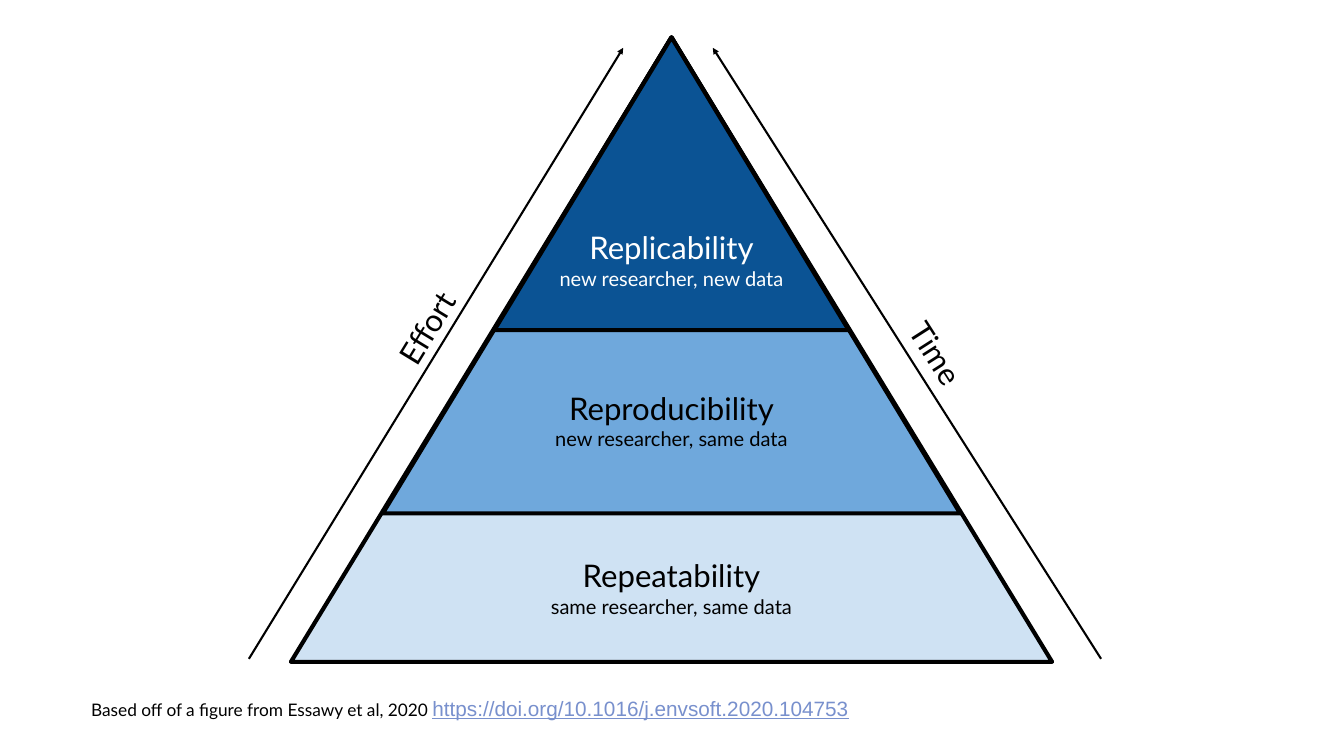
"""Build a slide with a three-tier reproducibility pyramid."""
import dataclasses
import typing

import pptx
import pptx.dml.color
import pptx.enum.shapes
import pptx.enum.text
import pptx.oxml
import pptx.oxml.ns
import pptx.slide
import pptx.text.text
import pptx.util

Inches = pptx.util.Inches
Pt = pptx.util.Pt


@dataclasses.dataclass(frozen=True)
class Theme:
    """Colours, fonts and sizes used on the slide."""

    black: str = "000000"
    white: str = "FFFFFF"
    link: str = "7890CD"
    pale_blue: str = "CFE2F3"
    mid_blue: str = "6FA8DC"
    dark_blue: str = "0B5394"
    font: str = "Lato"
    link_font: str = "Arial"
    heading_size: int = 45
    detail_size: int = 29
    source_size: int = 25
    link_size: int = 30
    outline: int = 6
    arrow: int = 3


THEME = Theme()
APEX_X = 13.49
APEX_Y = 0.75
LABEL_WIDTH = 5.79
LABEL_HEIGHT = 1.45
SIDE_WIDTH = 12
SIDE_HEIGHT = 0.96


class Tier(typing.NamedTuple):
    """One pyramid level, measured from the shared apex."""

    heading: str
    detail: str
    width: float
    height: float
    fill: str
    text_color: str
    label_top: float


class Side(typing.NamedTuple):
    """An arrow along one flank with its tilted label."""

    label: str
    start: tuple[float, float]
    end: tuple[float, float]
    label_left: float
    label_top: float
    rotation: float


class TextRun(typing.NamedTuple):
    """A piece of text in one format."""

    text: str
    size: int
    color: str = THEME.black
    font: str = THEME.font
    underline: bool = False


TIERS = (
    Tier("Repeatability", "same researcher, same data", 15.29, 12.54,
         THEME.pale_blue, THEME.black, 11.08),
    Tier("Reproducibility", "new researcher, same data", 11.6, 9.56,
         THEME.mid_blue, THEME.black, 7.72),
    Tier("Replicability", "new researcher, new data", 7.12, 5.88,
         THEME.dark_blue, THEME.white, 4.49),
)
SIDES = (
    Side("Effort", (5, 13.23), (12.52, 0.96), 2.57, 6.1, 301.4),
    Side("Time", (22.12, 13.23), (14.32, 0.96), 12.8, 6.61, 57.4),
)
SOURCE = (
    TextRun("Based off of a figure from Essawy et al, 2020 ", THEME.source_size),
    TextRun("https://doi.org/10.1016/j.envsoft.2020.104753", THEME.link_size,
            THEME.link, THEME.link_font, True),
)


def rgb(color: str) -> pptx.dml.color.RGBColor:
    """Convert a hex string to a colour."""
    return pptx.dml.color.RGBColor.from_string(color)


def apply_format(target: typing.Any, values: dict[str, typing.Any]) -> None:
    """Set every named attribute on the target."""
    for name, value in values.items():
        setattr(target, name, value)


def add_runs(paragraph: pptx.text.text._Paragraph, runs: typing.Iterable[TextRun]) -> None:
    """Append formatted runs to a paragraph."""
    for item in runs:
        run = paragraph.add_run()
        run.text = item.text
        apply_format(run.font, {"name": item.font, "size": Pt(item.size),
                                "underline": item.underline})
        run.font.color.rgb = rgb(item.color)


def add_text(slide: pptx.slide.Slide, box: tuple[float, float, float, float],
             lines: typing.Iterable[typing.Iterable[TextRun]],
             paragraph_format: dict[str, typing.Any],
             inset: float = 0.1, rotation: float = 0) -> None:
    """Add a wrapped text box with one paragraph per line."""
    shape = slide.shapes.add_textbox(*map(Inches, box))
    shape.rotation = rotation
    frame = shape.text_frame
    margins = ("margin_left", "margin_right", "margin_top", "margin_bottom")
    apply_format(frame, {"word_wrap": True, **dict.fromkeys(margins, Inches(inset))})
    for index, runs in enumerate(lines):
        paragraph = frame.add_paragraph() if index else frame.paragraphs[0]
        apply_format(paragraph, paragraph_format)
        add_runs(paragraph, runs)


def add_tier(slide: pptx.slide.Slide, tier: Tier) -> None:
    """Draw the triangle of one tier."""
    shape = slide.shapes.add_shape(
        pptx.enum.shapes.MSO_SHAPE.ISOSCELES_TRIANGLE,
        Inches(APEX_X - tier.width / 2), Inches(APEX_Y),
        Inches(tier.width), Inches(tier.height))
    shape.shadow.inherit = False
    shape.fill.solid()
    shape.fill.fore_color.rgb = rgb(tier.fill)
    shape.line.color.rgb = rgb(THEME.black)
    shape.line.width = Pt(THEME.outline)


def add_arrow(slide: pptx.slide.Slide, side: Side) -> None:
    """Draw the arrow that runs up one flank."""
    connector = slide.shapes.add_connector(
        pptx.enum.shapes.MSO_CONNECTOR.STRAIGHT,
        *map(Inches, (*side.start, *side.end)))
    connector.line.color.rgb = rgb(THEME.black)
    connector.line.width = Pt(THEME.arrow)
    namespace = pptx.oxml.ns.nsdecls("a")
    line = connector.line._get_or_add_ln()
    line.append(pptx.oxml.parse_xml(f'<a:tailEnd {namespace} type="triangle"/>'))
    properties = connector._element.spPr
    properties.append(pptx.oxml.parse_xml(f"<a:effectLst {namespace}/>"))


def main() -> None:
    """Assemble and save the presentation."""
    presentation = pptx.Presentation()
    apply_format(presentation, {"slide_width": Inches(27), "slide_height": Inches(15)})
    slide = presentation.slides.add_slide(presentation.slide_layouts[6])
    centred = {"alignment": pptx.enum.text.PP_ALIGN.CENTER}

    add_text(slide, (1.64, 13.71, 20.48, 1.53), [SOURCE],
             {"line_spacing": 1.15, "space_after": Pt(23)}, inset=0.19)
    for tier in TIERS:
        add_tier(slide, tier)
    for side in SIDES:
        add_arrow(slide, side)
        add_text(slide, (side.label_left, side.label_top, SIDE_WIDTH, SIDE_HEIGHT),
                 [[TextRun(side.label, THEME.heading_size)]], centred,
                 rotation=side.rotation)
    for tier in TIERS:
        add_text(slide, (APEX_X - LABEL_WIDTH / 2, tier.label_top, LABEL_WIDTH, LABEL_HEIGHT),
                 [[TextRun(tier.heading, THEME.heading_size, tier.text_color)],
                  [TextRun(tier.detail, THEME.detail_size, tier.text_color)]], centred)

    presentation.save("out.pptx")


if __name__ == "__main__":
    main()
